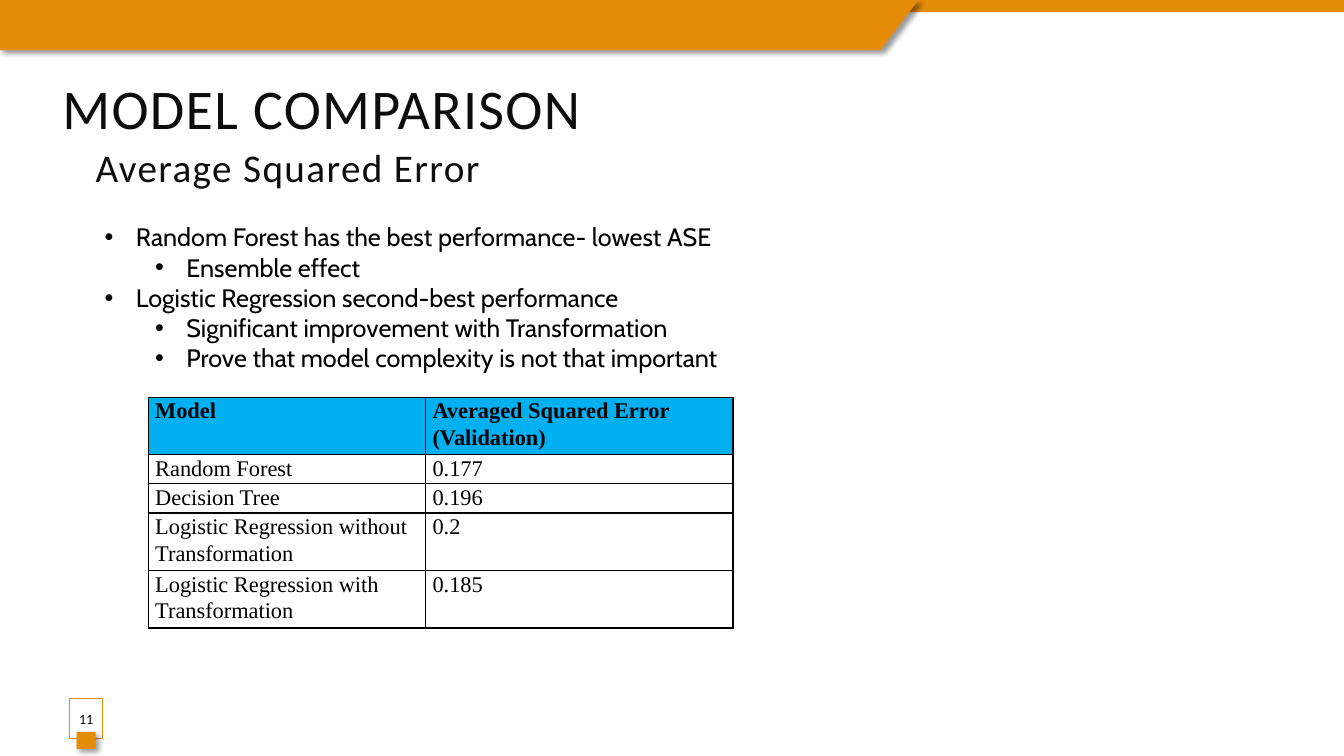
from lxml.etree import SubElement
from pptx import Presentation
from pptx.dml.color import RGBColor
from pptx.enum.shapes import MSO_SHAPE as Shape
from pptx.enum.text import MSO_ANCHOR as Anchor, PP_ALIGN as Align
from pptx.oxml.ns import qn
from pptx.util import Inches, Pt

ORANGE = RGBColor(0xE5, 0x8C, 0x09)
WHITE = RGBColor(0xFF, 0xFF, 0xFF)
BLACK = RGBColor(0x00, 0x00, 0x00)
INK = RGBColor(0x0D, 0x0D, 0x0D)
BLUE = RGBColor(0x00, 0xB0, 0xF0)

BULLETS = [
    (0, "Random Forest has the best performance- lowest ASE"),
    (1, "Ensemble effect"),
    (0, "Logistic Regression second-best performance"),
    (1, "Significant improvement with Transformation"),
    (1, "Prove that model complexity is not that important"),
]
RESULTS = [
    ("Model", "Averaged Squared Error (Validation)"),
    ("Random Forest", "0.177"),
    ("Decision Tree", "0.196"),
    ("Logistic Regression without Transformation", "0.2"),
    ("Logistic Regression with Transformation", "0.185"),
]
COLUMN_WIDTHS = (2.75, 3.05)
ROW_HEIGHTS = (0.57, 0.29, 0.29, 0.57, 0.57)


def set_values(target, values):
    for name, value in values.items():
        setattr(target, name, value)


def add_element(parent, tag, **values):
    return SubElement(parent, qn(tag), {key: str(value) for key, value in values.items()})


def add_span(para, text, size, font, color, bold=False, spacing=0):
    span = para.add_run()
    span.text = text
    set_values(span.font, {"size": Pt(size), "name": font, "bold": bold})
    span.font.color.rgb = color
    if spacing:
        span.font._element.set("spc", str(spacing * 100))


def style_shape(shape, fill, line=None):
    shape.fill.solid()
    shape.fill.fore_color.rgb = fill
    if line is None:
        shape.line.fill.background()
    else:
        shape.line.color.rgb = line
        shape.line.width = Pt(0.75)
    shape.shadow.inherit = False


def add_shadow(shape):
    effects = shape._element.spPr.find(qn("a:effectLst"))
    shadow = add_element(effects, "a:outerShdw", blurRad=Pt(4), dist=Pt(3),
                         dir=45 * 60000, algn="tl", rotWithShape=0)
    color = add_element(shadow, "a:srgbClr", val=BLACK)
    add_element(color, "a:alpha", val=40000)


def add_rectangle(page, area, fill, line=None):
    box = page.shapes.add_shape(Shape.RECTANGLE, *map(Inches, area))
    style_shape(box, fill, line)
    return box


def add_banner(page):
    add_rectangle(page, (0, 0, 13.33, 0.12), ORANGE)
    outline = page.shapes.build_freeform(0, 0)
    corners = [(9.11, 0), (8.73, 0.5), (0, 0.5)]
    outline.add_line_segments([(Inches(x), Inches(y)) for x, y in corners])
    banner = outline.convert_to_shape()
    style_shape(banner, ORANGE)
    add_shadow(banner)


def add_text_box(page, area):
    box = page.shapes.add_textbox(*map(Inches, area))
    box.text_frame.word_wrap = True
    return box.text_frame


def add_heading(page, area, text, size):
    frame = add_text_box(page, area)
    add_span(frame.paragraphs[0], text, size, "Calibri", INK, spacing=1)


def add_page_number(page, number):
    box = add_rectangle(page, (0.69, 6.93, 0.33, 0.4), WHITE, ORANGE)
    color = box.fill._xPr.find(qn("a:solidFill"))[0]
    add_element(color, "a:alpha", val=82000)
    set_values(box.text_frame, {"margin_left": 0, "margin_right": 0,
                                "vertical_anchor": Anchor.MIDDLE})
    para = box.text_frame.paragraphs[0]
    para.alignment = Align.CENTER
    add_span(para, number, 10, "Calibri", INK)
    add_shadow(add_rectangle(page, (0.76, 7.26, 0.19, 0.17), ORANGE))


def add_bullets(page, area, items):
    frame = add_text_box(page, area)
    for index, (level, text) in enumerate(items):
        para = frame.add_paragraph() if index else frame.paragraphs[0]
        para.level = level
        properties = para._p.get_or_add_pPr()
        properties.set("marL", str(Inches(0.31 + 0.5 * level)))
        properties.set("indent", str(Inches(-0.31)))
        add_element(properties, "a:buFont", typeface="Arial")
        add_element(properties, "a:buChar", char="•")
        add_span(para, text, 18, "Cabin", BLACK)


def add_borders(cell):
    properties = cell._tc.get_or_add_tcPr()
    for side in ("a:lnL", "a:lnR", "a:lnT", "a:lnB"):
        line = add_element(properties, side, w=Pt(1))
        add_element(add_element(line, "a:solidFill"), "a:srgbClr", val=BLACK)


def fill_cell(cell, text, header):
    add_borders(cell)
    cell.fill.solid()
    cell.fill.fore_color.rgb = BLUE if header else WHITE
    set_values(cell, {"margin_left": Inches(0.07), "margin_right": Inches(0.07),
                      "margin_top": 0, "margin_bottom": 0})
    para = cell.text_frame.paragraphs[0]
    set_values(para, {"line_spacing": 1.07, "space_after": Pt(8)})
    add_span(para, text, 16, "Times New Roman", BLACK, bold=header)


def add_results(page, left, top, rows):
    area = (left, top, sum(COLUMN_WIDTHS), sum(ROW_HEIGHTS))
    table = page.shapes.add_table(len(rows), len(COLUMN_WIDTHS), *map(Inches, area)).table
    set_values(table, {"first_row": False, "horz_banding": False})
    for column, width in zip(table.columns, COLUMN_WIDTHS):
        column.width = Inches(width)
    for index, (row, height) in enumerate(zip(table.rows, ROW_HEIGHTS)):
        row.height = Inches(height)
        for cell, text in zip(row.cells, rows[index]):
            fill_cell(cell, text, header=index == 0)


def main():
    deck = Presentation()
    set_values(deck, {"slide_width": Inches(13.33), "slide_height": Inches(7.5)})
    page = deck.slides.add_slide(deck.slide_layouts[6])
    add_banner(page)
    add_heading(page, (0.52, 0.68, 11.82, 0.77), "MODEL COMPARISON", 40)
    add_page_number(page, "11")
    add_bullets(page, (0.94, 2.15, 6.99, 1.62), BULLETS)
    add_heading(page, (0.85, 1.37, 11.82, 0.77), "Average Squared Error", 28)
    add_results(page, 1.47, 3.94, RESULTS)
    deck.save("out.pptx")


if __name__ == "__main__":
    main()
